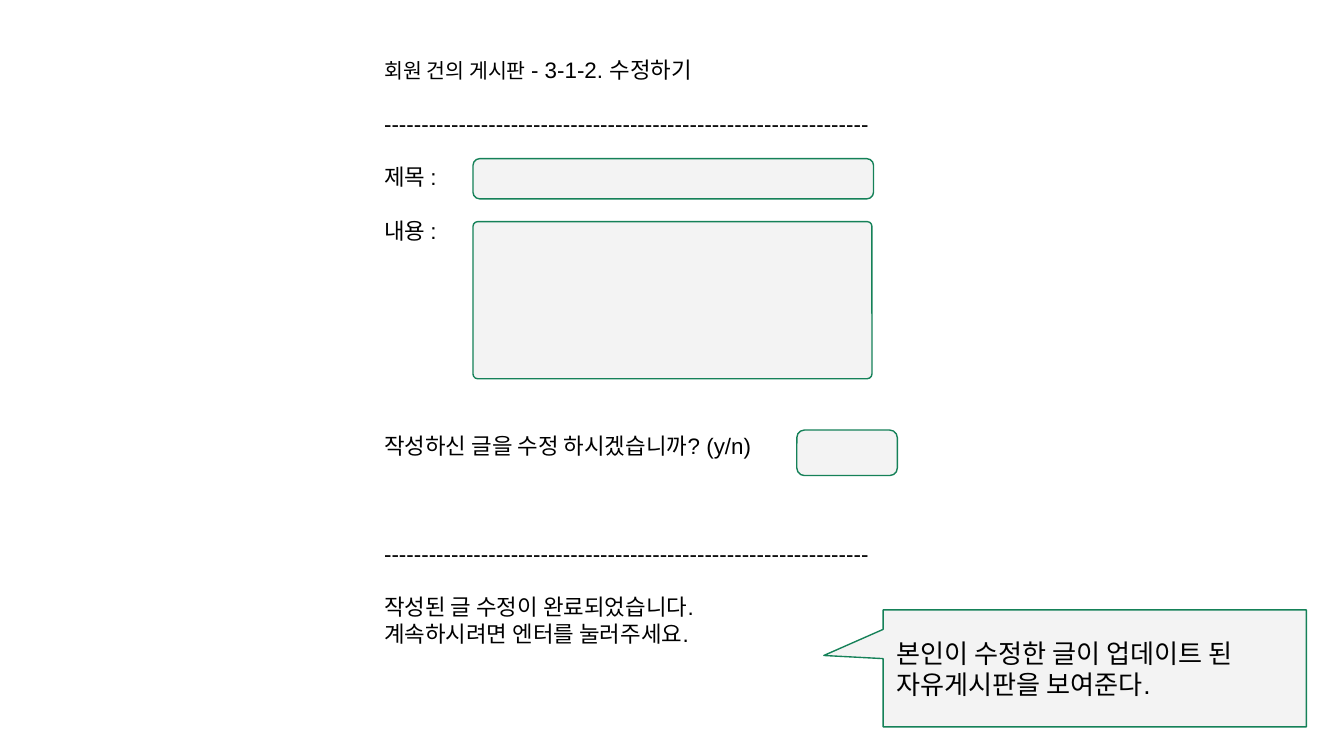
from pptx import Presentation
from pptx.dml.color import RGBColor
from pptx.enum.shapes import MSO_SHAPE as SHAPE
from pptx.enum.text import MSO_ANCHOR as ANCHOR, PP_ALIGN as ALIGN
from pptx.util import Cm, Pt

INK, FIELD, GREEN = "000000", "F3F3F3", "158158"
LINE = 14.4  # line pitch of the form, in points
RULE = "-" * 65

# Blank lines above, then runs of (text, size)
FORM = [
    (0, [("회원 건의 게시판", 11), (" - 3-1-2. 수정하기", 12)]),
    (1, [(RULE, 12)]),
    (1, [("제목 :", 12)]),
    (1, [("내용 :", 12)]),
    (7, [("작성하신 글을 수정 하시겠습니까? (y/n)", 12)]),
    (3, [(RULE, 12)]),
    (1, [("작성된 글 수정이 완료되었습니다.", 12)]),
    (0, [("계속하시려면 엔터를 눌러주세요.", 12)]),
]

# Input fields: left, top, width, height, corner
FIELDS = [
    (8.94, 3, 7.57, 0.76, 0.167),
    (8.94, 4.19, 7.54, 2.97, 0.03),
    (15.06, 8.13, 1.9, 0.86, 0.167),
]


def color(value):
    return RGBColor.from_string(value)


def set_frame(tf, anchor):
    tf.word_wrap = True
    tf.vertical_anchor = anchor
    tf.margin_left = tf.margin_right = Cm(0.25)
    tf.margin_top = tf.margin_bottom = Cm(0.25)


def add_run(p, text, size):
    r = p.add_run()
    r.text = text
    r.font.name = "Arial"
    r.font.size = Pt(size)
    r.font.color.rgb = color(INK)


def add_form_text(slide, left, top, width, height):
    tf = slide.shapes.add_textbox(Cm(left), Cm(top), Cm(width), Cm(height)).text_frame
    set_frame(tf, ANCHOR.TOP)
    for i, (blanks, runs) in enumerate(FORM):
        p = tf.add_paragraph() if i else tf.paragraphs[0]
        p.line_spacing = Pt(LINE)
        p.space_before = Pt(blanks * LINE)
        for text, size in runs:
            add_run(p, text, size)


def add_panel(slide, kind, left, top, width, height, *adjustments):
    sp = slide.shapes.add_shape(kind, Cm(left), Cm(top), Cm(width), Cm(height))
    for i, value in enumerate(adjustments):
        sp.adjustments[i] = value
    sp.shadow.inherit = False
    sp.fill.solid()
    sp.fill.fore_color.rgb = color(FIELD)
    sp.line.color.rgb = color(GREEN)
    sp.line.width = Pt(0.75)
    return sp


def add_callout(slide, text, *geometry):
    sp = add_panel(slide, SHAPE.RECTANGULAR_CALLOUT, *geometry)
    set_frame(sp.text_frame, ANCHOR.MIDDLE)
    p = sp.text_frame.paragraphs[0]
    p.alignment = ALIGN.LEFT
    add_run(p, text, 14)


def main():
    prs = Presentation()
    prs.slide_width, prs.slide_height = Cm(25.4), Cm(14.29)
    s = prs.slides.add_slide(prs.slide_layouts[6])

    # Form text and its input fields
    add_form_text(s, 7.01, 0.81, 11.4, 2.01)
    for field in FIELDS:
        add_panel(s, SHAPE.ROUNDED_RECTANGLE, *field)

    # Note on what follows
    add_callout(s, "본인이 수정한 글이 업데이트 된 자유게시판을 보여준다.",
                16.69, 11.53, 8, 2.21, -0.64, -0.11)

    prs.save("out.pptx")


main()
